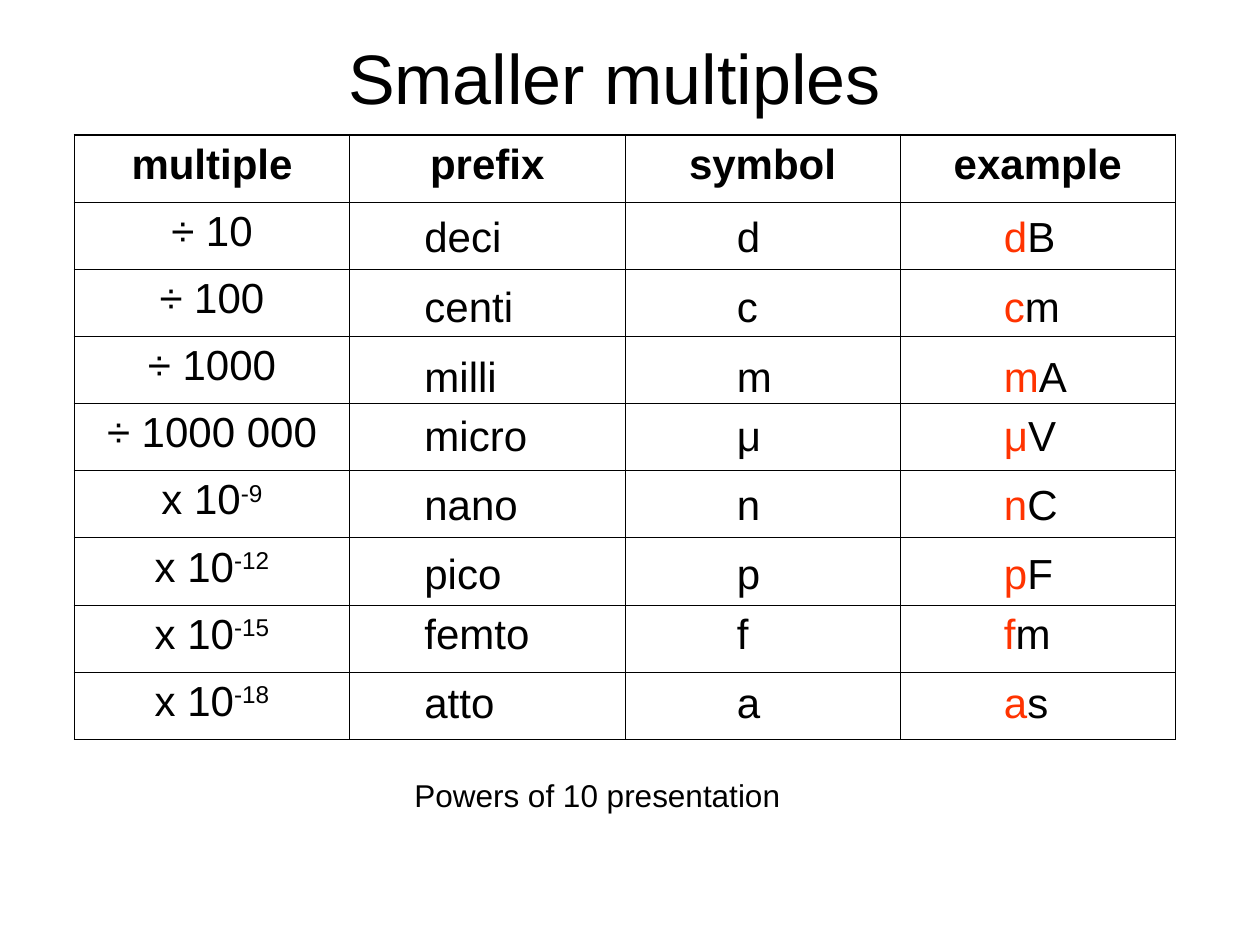
from lxml import etree
from pptx import Presentation
from pptx.dml.color import RGBColor
from pptx.enum.text import MSO_ANCHOR as Anchor, MSO_AUTO_SIZE as AutoSize, PP_ALIGN as Align
from pptx.oxml.ns import qn
from pptx.util import Inches, Pt

COLORS = {"text": "000000", "accent": "FF3300", "border": "000000"}
HEADERS = ["multiple", "prefix", "symbol", "example"]
# base, exponent, prefix, symbol, unit, top of the floating labels
ROWS = [
    ("÷ 10", "", "deci", "d", "B", 1.62),
    ("÷ 100", "", "centi", "c", "m", 2.18),
    ("÷ 1000", "", "milli", "m", "A", 2.73),
    ("÷ 1000 000", "", "micro", "μ", "V", 3.2),
    ("x 10", "-9", "nano", "n", "C", 3.75),
    ("x 10", "-12", "pico", "p", "F", 4.3),
    ("x 10", "-15", "femto", "f", "m", 4.77),
    ("x 10", "-18", "atto", "a", "s", 5.32),
]


def add_run(p, text, size=24, color="text", bold=False):
    r = p.add_run()
    r.text = text
    for name, value in {"name": "Arial", "size": Pt(size), "bold": bold}.items():
        setattr(r.font, name, value)
    r.font.color.rgb = RGBColor.from_string(COLORS[color])
    return r


def add_label(s, left, top, width, height, before):
    tf = s.shapes.add_textbox(Inches(left), Inches(top), Inches(width), Inches(height)).text_frame
    for name, value in {"word_wrap": True, "auto_size": AutoSize.SHAPE_TO_FIT_TEXT}.items():
        setattr(tf, name, value)
    p = tf.paragraphs[0]
    p.space_before = Pt(before)
    return p


prs = Presentation()
prs.slide_width, prs.slide_height = Inches(10), Inches(7.5)
s = prs.slides.add_slide(prs.slide_layouts[5])

# Title
title = s.shapes.title
box = {"left": 0.5, "top": 0.3, "width": 8.75, "height": 0.61}
for name, value in box.items():
    setattr(title, name, Inches(value))
tf = title.text_frame
for name, value in {"vertical_anchor": Anchor.MIDDLE, "auto_size": AutoSize.NONE}.items():
    setattr(tf, name, value)
p = tf.paragraphs[0]
p.alignment = Align.CENTER
add_run(p, "Smaller multiples", 40)

# Table with headings and multiples
n_rows, n_cols = len(ROWS) + 1, len(HEADERS)
tbl = s.shapes.add_table(n_rows, n_cols, Inches(0.59), Inches(1.07),
                         Inches(8.74), Inches(4.8)).table
tbl.first_row = tbl.horz_banding = False

for i in range(n_rows):
    for j in range(n_cols):
        cell = tbl.cell(i, j)
        cell.fill.background()
        p = cell.text_frame.paragraphs[0]
        p.alignment = Align.CENTER
        p.space_before = Pt(6)
        if i == 0:
            add_run(p, HEADERS[j], bold=True)
        elif j == 0:
            base, exponent = ROWS[i - 1][:2]
            add_run(p, base)
            if exponent:
                r = add_run(p, exponent)
                r.font._element.set("baseline", "30000")

        # Thicker lines around the outside
        outer = {"a:lnL": j == 0, "a:lnR": j == n_cols - 1,
                 "a:lnT": i == 0, "a:lnB": i == n_rows - 1}
        tcPr = cell._tc.get_or_add_tcPr()
        for k, (tag, is_outer) in enumerate(outer.items()):
            ln = etree.Element(qn(tag), w=str(Pt(1.08 if is_outer else 0.45)))
            fill = etree.SubElement(ln, qn("a:solidFill"))
            etree.SubElement(fill, qn("a:srgbClr"), val=COLORS["border"])
            tcPr.insert(k, ln)

# Prefixes, symbols and examples over the table
for base, exponent, prefix, symbol, unit, top in ROWS:
    add_run(add_label(s, 3.27, top, 1.22, 0.5, 15), prefix)
    add_run(add_label(s, 5.75, top, 0.94, 0.5, 15), symbol)
    p = add_label(s, 7.87, top, 0.94, 0.5, 15)
    add_run(p, symbol, color="accent")
    add_run(p, unit)

# Caption
add_run(add_label(s, 3.19, 6.11, 3.7, 0.4, 11.2), "Powers of 10 presentation", 18)

prs.save("out.pptx")
